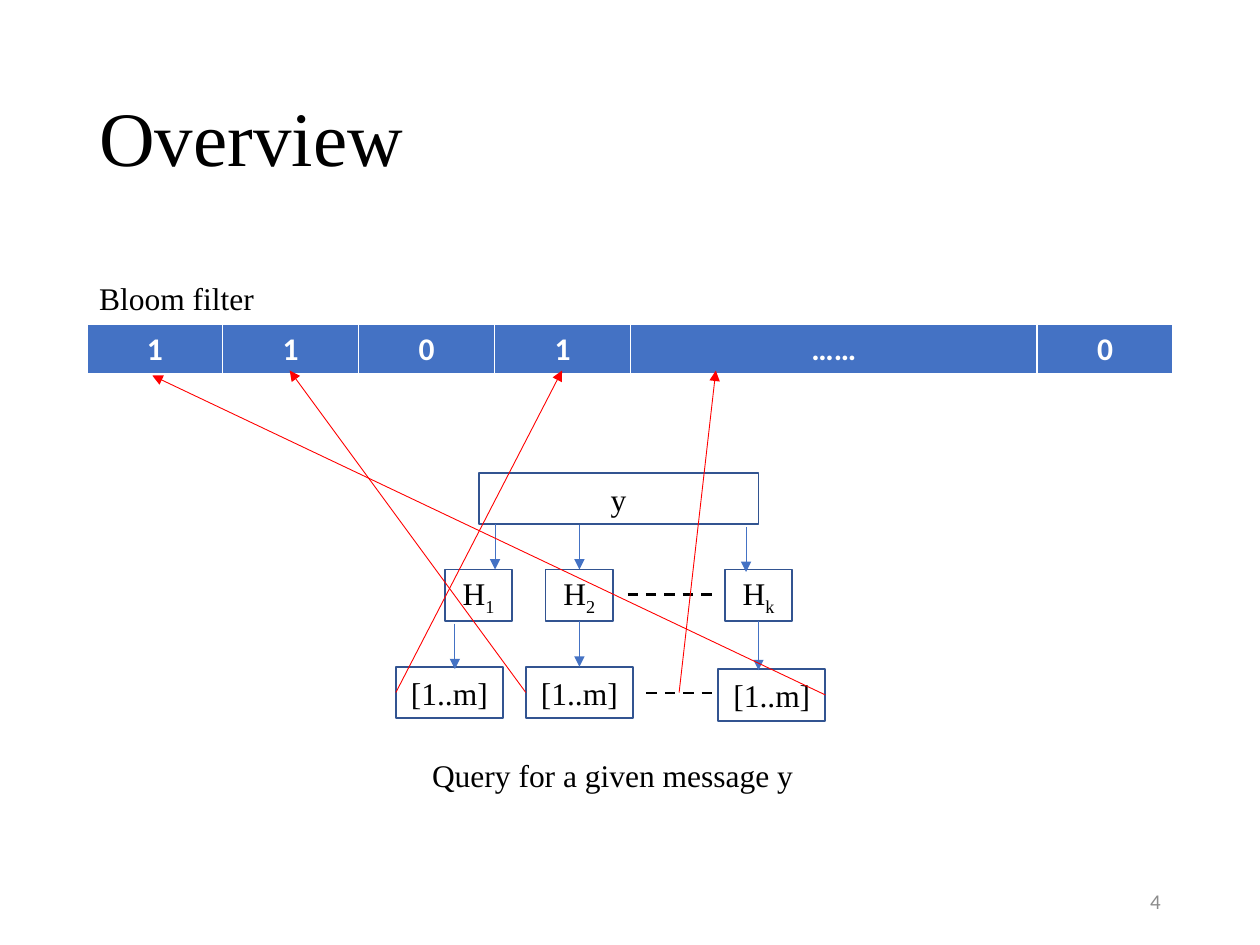
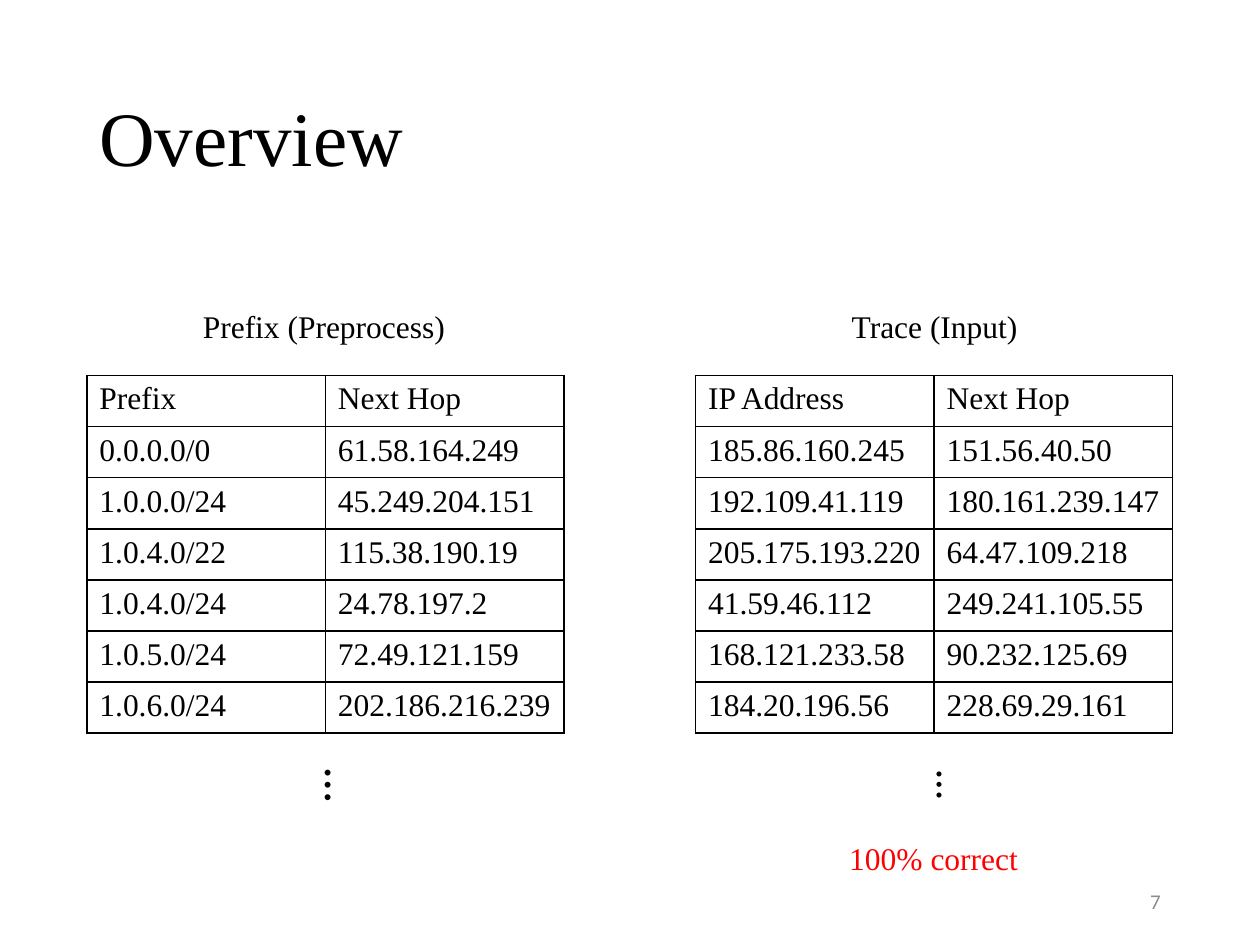
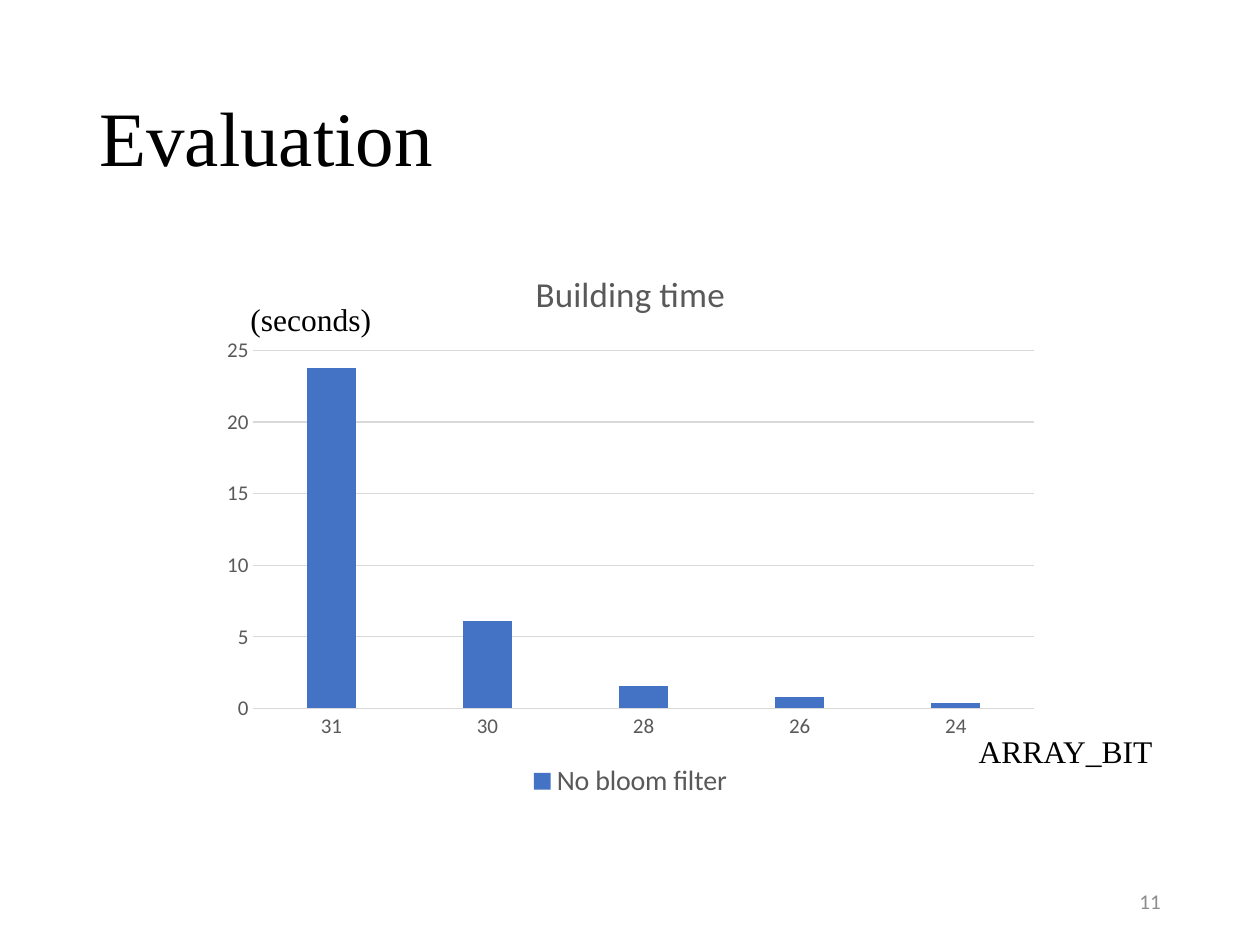
from lxml import etree
from pptx import Presentation
from pptx.chart.data import CategoryChartData
from pptx.dml.color import RGBColor
from pptx.enum.chart import XL_CHART_TYPE, XL_LEGEND_POSITION, XL_TICK_MARK
from pptx.enum.dml import MSO_LINE
from pptx.enum.shapes import MSO_CONNECTOR, MSO_SHAPE
from pptx.enum.text import MSO_ANCHOR, MSO_AUTO_SIZE, PP_ALIGN
from pptx.oxml.ns import qn
from pptx.util import Cm, Pt

COLUMNS = XL_CHART_TYPE.COLUMN_CLUSTERED
BOTTOM = XL_LEGEND_POSITION.BOTTOM
NO_TICK = XL_TICK_MARK.NONE
DASH = MSO_LINE.DASH
STRAIGHT = MSO_CONNECTOR.STRAIGHT
RECT = MSO_SHAPE.RECTANGLE
MIDDLE = MSO_ANCHOR.MIDDLE
GROW = MSO_AUTO_SIZE.SHAPE_TO_FIT_TEXT
LEFT, CENTER, RIGHT = PP_ALIGN.LEFT, PP_ALIGN.CENTER, PP_ALIGN.RIGHT

BLACK = RGBColor(0, 0, 0)
WHITE = RGBColor(0xFF, 0xFF, 0xFF)
BLUE = RGBColor(0x44, 0x72, 0xC4)
DARK_BLUE = RGBColor(0x32, 0x54, 0x91)
RED = RGBColor(0xFF, 0, 0)
PAGE_GRAY = RGBColor(0x8C, 0x8C, 0x8C)
CHART_GRAY = RGBColor(0x59, 0x59, 0x59)
GRID_GRAY = RGBColor(0xD9, 0xD9, 0xD9)
SERIF, SANS = "Times New Roman", "Calibri"

MARGIN = 1.75
ROW_H = 1.03
BOX_H = 1.04

BITS = [["1", "1", "0", "1", "……", "0"]]
BIT_WIDTHS = [2.74, 2.74, 2.74, 2.74, 8.2, 2.74]

BOXES = {
    "message": (9.65, 9.53, 5.64, "y", ""),
    "H1": (8.97, 11.48, 1.36, "H", "1"),
    "H2": (11, 11.48, 1.36, "H", "2"),
    "Hk": (14.61, 11.48, 1.36, "H", "k"),
    "range1": (7.98, 13.44, 2.16, "[1..m]", ""),
    "range2": (10.6, 13.44, 2.16, "[1..m]", ""),
    "rangek": (14.48, 13.49, 2.16, "[1..m]", ""),
}
HASH_ARROWS = [
    ((9.98, 10.57), (9.98, 11.48), None, None),
    ((11.68, 10.59), (11.68, 11.48), None, ("H2", 0)),
    ((15.04, 10.62), (15.04, 11.53), None, None),
    ((9.17, 12.57), (9.17, 13.49), None, None),
    ((11.68, 12.52), (11.68, 13.44), ("H2", 2), ("range2", 0)),
    ((15.29, 12.52), (15.29, 13.51), ("Hk", 2), None),
]
LOOKUP_ARROWS = [
    ((7.98, 13.96), (11.33, 7.47), ("range1", 1), None),
    ((10.6, 13.96), (5.84, 7.47), ("range2", 1), None),
    ((13.69, 13.96), (14.43, 7.47), None, None),
    ((16.64, 14.01), (3.07, 7.57), ("rangek", 3), None),
]
GAPS = [
    ((12.65, 11.99), (14.43, 11.99), None, None),
    ((13.03, 13.97), (14.43, 13.97), None, None),
]

PREFIXES = [
    ["Prefix", "Next Hop"],
    ["0.0.0.0/0", "61.58.164.249"],
    ["1.0.0.0/24", "45.249.204.151"],
    ["1.0.4.0/22", "115.38.190.19"],
    ["1.0.4.0/24", "24.78.197.2"],
    ["1.0.5.0/24", "72.49.121.159"],
    ["1.0.6.0/24", "202.186.216.239"],
]
TRACES = [
    ["IP Address", "Next Hop"],
    ["185.86.160.245", "151.56.40.50"],
    ["192.109.41.119", "180.161.239.147"],
    ["205.175.193.220", "64.47.109.218"],
    ["41.59.46.112", "249.241.105.55"],
    ["168.121.233.58", "90.232.125.69"],
    ["184.20.196.56", "228.69.29.161"],
]
HOP_WIDTHS = [4.81, 4.81]

BUILD_TIMES = {"31": 23.8, "30": 6.1, "28": 1.6, "26": 0.8, "24": 0.4}


def style_font(font, size, color, name=SERIF, bold=False):
    font.size = Pt(size)
    font.name = name
    font.bold = bold
    font.color.rgb = color


def add_run(p, text, size=18, color=BLACK, name=SERIF, bold=False):
    r = p.add_run()
    r.text = text
    style_font(r.font, size, color, name, bold)
    return r


def add_text(s, box, text, size=18, color=BLACK, name=SERIF):
    sp = s.shapes.add_textbox(*map(Cm, box))
    tf = sp.text_frame
    tf.word_wrap = False
    tf.auto_size = GROW
    add_run(tf.paragraphs[0], text, size, color, name)
    return tf


def add_vertical_dots(s, box, size):
    tf = add_text(s, box, "…", size, name=SANS)
    tf._txBody.bodyPr.set("vert", "vert")


def add_slide(prs, title, number):
    s = prs.slides.add_slide(prs.slide_layouts[5])
    sp = s.shapes.title
    sp.left, sp.top, sp.width, sp.height = map(Cm, (MARGIN, 1.02, 21.9, 3.68))
    sp.text_frame.vertical_anchor = MIDDLE
    p = sp.text_frame.paragraphs[0]
    p.alignment = LEFT
    p.line_spacing = 0.9
    add_run(p, title, 44)
    tf = add_text(s, (17.93, 17.65, 5.72, 1.02), number, 12, PAGE_GRAY, SANS)
    tf.word_wrap = True
    tf.auto_size = MSO_AUTO_SIZE.NONE
    tf.vertical_anchor = MIDDLE
    tf.paragraphs[0].alignment = RIGHT
    return s


def add_box(s, left, top, width, text, subscript):
    sp = s.shapes.add_shape(RECT, Cm(left), Cm(top), Cm(width), Cm(BOX_H))
    sp.shadow.inherit = False
    sp.fill.background()
    sp.line.color.rgb = DARK_BLUE
    sp.line.width = Pt(1)
    sp.text_frame.vertical_anchor = MIDDLE
    p = sp.text_frame.paragraphs[0]
    p.alignment = CENTER
    add_run(p, text)
    if subscript:
        r = add_run(p, subscript)
        r.font._element.set("baseline", "-25000")
    return sp


def add_lines(s, boxes, lines, color, width, arrow=True):
    for start, end, start_join, end_join in lines:
        cx = s.shapes.add_connector(STRAIGHT, *map(Cm, start + end))
        if start_join:
            cx.begin_connect(boxes[start_join[0]], start_join[1])
        if end_join:
            cx.end_connect(boxes[end_join[0]], end_join[1])
        cx.line.color.rgb = color
        cx.line.width = Pt(width)
        if arrow:
            etree.SubElement(cx.line._get_or_add_ln(), qn("a:tailEnd"), type="triangle")
        else:
            cx.line.dash_style = DASH
        etree.SubElement(cx._element.spPr, qn("a:effectLst"))


def set_borders(cell, color, widths):
    tc_pr = cell._tc.get_or_add_tcPr()
    for side, width in zip("LRTB", widths):
        ln = etree.SubElement(tc_pr, qn(f"a:ln{side}"), w=str(Pt(width)))
        fill = etree.SubElement(ln, qn("a:solidFill"))
        etree.SubElement(fill, qn("a:srgbClr"), val=str(color))


def add_grid(s, left, top, rows, widths, fill, border, border_widths, align, font):
    frame = s.shapes.add_table(len(rows), len(widths), Cm(left), Cm(top),
                               Cm(sum(widths)), Cm(ROW_H * len(rows)))
    table = frame.table
    table.first_row = table.horz_banding = False
    for column, width in zip(table.columns, widths):
        column.width = Cm(width)
    for i, row in enumerate(rows):
        table.rows[i].height = Cm(ROW_H)
        for j, text in enumerate(row):
            cell = table.cell(i, j)
            set_borders(cell, border, border_widths)
            cell.fill.solid()
            cell.fill.fore_color.rgb = fill
            p = cell.text_frame.paragraphs[0]
            p.alignment = align
            add_run(p, text, **font)


def build_query(prs):
    s = add_slide(prs, "Overview", "4")
    add_grid(s, MARGIN, 6.53, BITS, BIT_WIDTHS, BLUE, WHITE, (1, 1, 1, 3), CENTER,
             {"color": WHITE, "name": SANS, "bold": True})
    add_text(s, (MARGIN, 5.51, 3.66, 1.02), "Bloom filter")
    boxes = {name: add_box(s, *box) for name, box in BOXES.items()}
    add_lines(s, boxes, HASH_ARROWS, BLUE, 0.5)
    add_lines(s, boxes, GAPS, BLACK, 1.5, arrow=False)
    add_text(s, (8.46, 15.11, 7.8, 1.02), "Query for a given message y")
    add_lines(s, boxes, LOOKUP_ARROWS, RED, 0.5)


def build_tables(prs):
    s = add_slide(prs, "Overview", "7")
    for left, rows in ((MARGIN, PREFIXES), (14.02, TRACES)):
        add_grid(s, left, 7.57, rows, HOP_WIDTHS, WHITE, BLACK, (1, 1, 1, 1), LEFT, {})
    add_text(s, (3.84, 6.07, 5.44, 1.02), "Prefix (Preprocess)")
    add_text(s, (16.92, 6.07, 3.89, 1.02), "Trace (Input)")
    add_text(s, (16.87, 16.79, 3.94, 1.02), "100% correct", color=RED)
    add_vertical_dots(s, (5.97, 15.24, 1.7, 0.94), 28)
    add_vertical_dots(s, (18.31, 15.29, 1.55, 0.84), 24)


def build_evaluation(prs):
    s = add_slide(prs, "Evaluation", "11")
    data = CategoryChartData()
    data.categories = list(BUILD_TIMES)
    data.add_series("No bloom filter", list(BUILD_TIMES.values()))
    chart = s.shapes.add_chart(COLUMNS, Cm(4.24), Cm(4.93), Cm(16.94), Cm(11.28), data).chart
    style_font(chart.font, 10, BLACK, SANS)

    chart.has_title = True
    add_run(chart.chart_title.text_frame.paragraphs[0], "Building time", 20, CHART_GRAY, SANS)
    chart.chart_title.include_in_layout = False
    chart.has_legend = True
    chart.legend.position = BOTTOM
    chart.legend.include_in_layout = False
    style_font(chart.legend.font, 16, CHART_GRAY, SANS)

    plot = chart.plots[0]
    plot.vary_by_categories = False
    plot.gap_width = 219
    plot.overlap = -27
    fill = plot.series[0].format.fill
    fill.solid()
    fill.fore_color.rgb = BLUE

    for axis in (chart.category_axis, chart.value_axis):
        axis.major_tick_mark = axis.minor_tick_mark = NO_TICK
        style_font(axis.tick_labels.font, 12, CHART_GRAY, SANS)
    chart.value_axis.maximum_scale = 25
    chart.value_axis.minimum_scale = 0
    chart.value_axis.major_unit = 5
    chart.value_axis.format.line.fill.background()
    for line in (chart.category_axis.format.line, chart.value_axis.major_gridlines.format.line):
        line.color.rgb = GRID_GRAY
        line.width = Pt(0.75)

    add_text(s, (19.48, 14.63, 4.06, 1.02), "ARRAY_BIT")
    add_text(s, (4.8, 5.92, 2.97, 1.02), "(seconds)")


def main():
    prs = Presentation()
    prs.slide_width, prs.slide_height = Cm(25.4), Cm(19.05)
    build_query(prs)
    build_tables(prs)
    build_evaluation(prs)
    prs.save("out.pptx")


if __name__ == "__main__":
    main()
